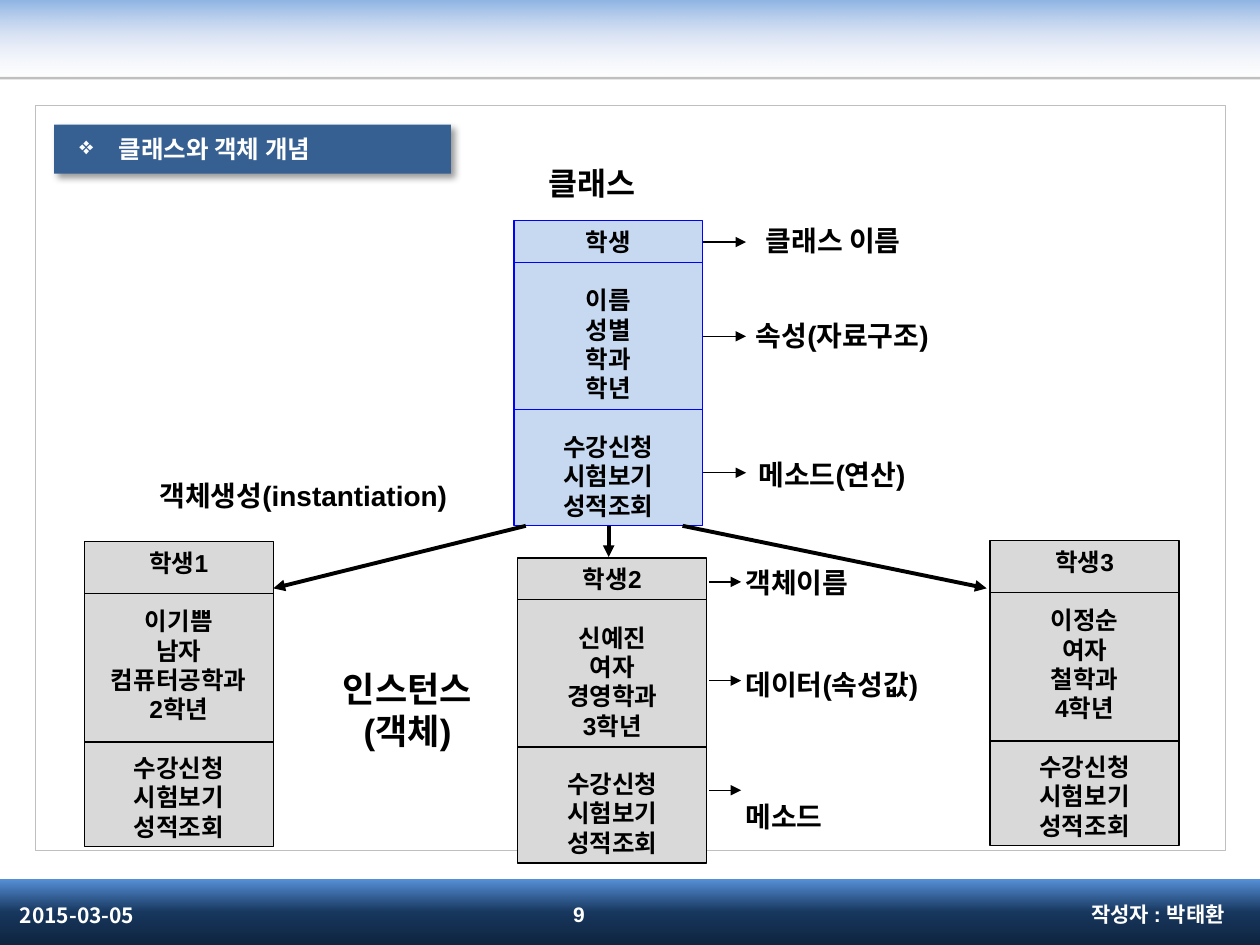
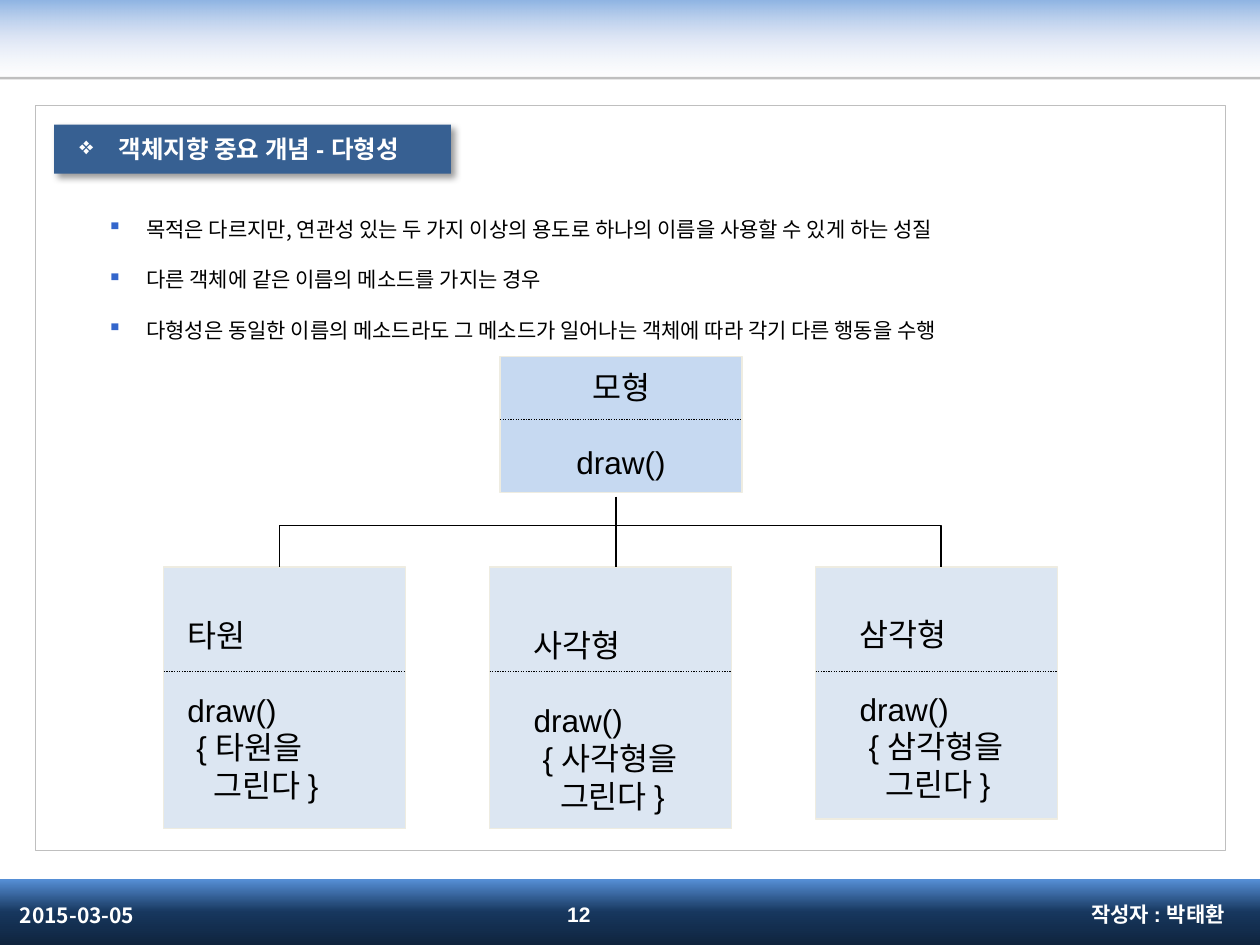
from lxml import etree
from pptx import Presentation
from pptx.dml.color import RGBColor
from pptx.enum.dml import MSO_LINE
from pptx.enum.shapes import MSO_CONNECTOR, MSO_SHAPE
from pptx.enum.text import MSO_ANCHOR, MSO_AUTO_SIZE, PP_ALIGN
from pptx.oxml import parse_xml
from pptx.oxml.ns import nsdecls, qn
from pptx.util import Cm, Pt

RECTANGLE = MSO_SHAPE.RECTANGLE
STRAIGHT = MSO_CONNECTOR.STRAIGHT
DOTTED = MSO_LINE.ROUND_DOT
TOP, MIDDLE = MSO_ANCHOR.TOP, MSO_ANCHOR.MIDDLE
LEFT, CENTER, RIGHT = PP_ALIGN.LEFT, PP_ALIGN.CENTER, PP_ALIGN.RIGHT
NO_AUTOFIT = MSO_AUTO_SIZE.NONE

LATIN_FONT = "Arial"
KOREAN_FONT = "Noto Sans CJK KR"
COLORS = {
    "black": "000000",
    "white": "FFFFFF",
    "rule": "BFBFBF",
    "title": "376092",
    "class": "C6D9F1",
    "class line": "0000FF",
    "object": "D9D9D9",
    "subclass": "DCE6F2",
    "subclass line": "EEECE1",
    "bullet": "3366CC",
}
# Gradient stops: position and opacity in percent
TOP_BAND = [(0, "8EB4E3", 100), (50, "C2D1ED", 50), (100, "E1E8F5", 0)]
BOTTOM_BAND = [(0, "558ED5", 100), (50, "17375E", 100), (100, "0F243E", 100)]
SLIDE_WIDTH, SLIDE_HEIGHT = 25.4, 19.05
CARD_WIDTH, CARD_HEIGHT = 3.81, 6.15
METHODS = ["수강신청", "시험보기", "성적조회"]


def color(name):
    return RGBColor.from_string(COLORS[name])


def lengths(*values):
    return [Cm(value) for value in values]


def write(shape, lines, size, bold=True, ink="black", align=LEFT, anchor=TOP,
          font=LATIN_FONT):
    """Put one paragraph per line into the shape and format its runs."""
    frame = shape.text_frame
    frame.text = "\n".join(lines)
    frame.word_wrap = True
    frame.vertical_anchor = anchor
    for paragraph in frame.paragraphs:
        paragraph.alignment = align
        for run in paragraph.runs:
            run.font.name = font
            run.font.size = Pt(size)
            run.font.bold = bold
            run.font.color.rgb = color(ink)
            east_asian = etree.SubElement(run.font._element, qn("a:ea"))
            east_asian.set("typeface", KOREAN_FONT)
    return frame.paragraphs


def add_text(slide, box, lines, size, **style):
    return write(slide.shapes.add_textbox(*lengths(*box)), lines, size, **style)


def add_box(slide, box, fill=None, line=None, line_width=0.75):
    shape = slide.shapes.add_shape(RECTANGLE, *lengths(*box))
    shape.shadow.inherit = False
    if fill:
        shape.fill.solid()
        shape.fill.fore_color.rgb = color(fill)
    else:
        shape.fill.background()
    if line:
        shape.line.color.rgb = color(line)
        shape.line.width = Pt(line_width)
    else:
        shape.line.fill.background()
    return shape


def add_band(slide, top, height, stops):
    """Draw a full-width band with a vertical gradient."""
    band = add_box(slide, (0, top, SLIDE_WIDTH, height))
    stop_xml = "".join(
        f'<a:gs pos="{position * 1000}"><a:srgbClr val="{value}">'
        f'<a:alpha val="{opacity * 1000}"/></a:srgbClr></a:gs>'
        for position, value, opacity in stops)
    gradient = parse_xml(
        f'<a:gradFill {nsdecls("a")} rotWithShape="1"><a:gsLst>{stop_xml}'
        '</a:gsLst><a:lin ang="5400000" scaled="0"/></a:gradFill>')
    properties = band._element.spPr
    properties.replace(properties.find(qn("a:noFill")), gradient)


def add_line(slide, start, end, ink="black", width=0.75, dash=None, arrow=False):
    line = slide.shapes.add_connector(STRAIGHT, *lengths(*start, *end))
    line.line.color.rgb = color(ink)
    line.line.width = Pt(width)
    if dash:
        line.line.dash_style = dash
    properties = line._element.spPr
    if arrow:
        head = etree.SubElement(properties.find(qn("a:ln")), qn("a:tailEnd"))
        head.set("type", "triangle")
    etree.SubElement(properties, qn("a:effectLst"))


def add_bullet(paragraph, character, ink):
    properties = paragraph._p.get_or_add_pPr()
    properties.set("marL", str(Cm(0.79)))
    properties.set("indent", str(-Cm(0.79)))
    bullet_color = etree.SubElement(properties, qn("a:buClr"))
    etree.SubElement(bullet_color, qn("a:srgbClr")).set("val", COLORS[ink])
    etree.SubElement(properties, qn("a:buChar")).set("char", character)


def format_title(title, text):
    title.left, title.top, title.width, title.height = lengths(1.09, 2.51, 8, 0.99)
    title.fill.solid()
    title.fill.fore_color.rgb = color("title")
    title._element.spPr.append(parse_xml(
        f'<a:effectLst {nsdecls("a")}><a:outerShdw blurRad="50800" dist="38100" '
        'dir="2700000" algn="tl" rotWithShape="0"><a:srgbClr val="000000">'
        '<a:alpha val="40000"/></a:srgbClr></a:outerShdw></a:effectLst>'))
    paragraph = write(title, [text], 14, ink="white", anchor=MIDDLE)[0]
    add_bullet(paragraph, "❖", "white")
    title.text_frame.auto_size = NO_AUTOFIT
    title.text_frame.margin_left = Cm(0.51)


def add_slide(presentation, title, number):
    """Add a slide with the bands, frame, title and footers they all share."""
    slide = presentation.slides.add_slide(presentation.slide_layouts[5])
    add_band(slide, 0, 1.6, TOP_BAND)
    add_band(slide, 17.73, 1.32, BOTTOM_BAND)
    add_box(slide, (0, 1.55, SLIDE_WIDTH, 0.05), fill="rule")
    add_box(slide, (0.71, 2.13, 24, 15.01), line="rule", line_width=0.25)
    format_title(slide.shapes.title, title)
    footer = {"ink": "white", "anchor": MIDDLE}
    add_text(slide, (16.89, 17.91, 8.05, 1.02), ["작성자 : 박태환"], 12,
             align=RIGHT, **footer)
    add_text(slide, (0.15, 17.93, 5.92, 1.02), ["2015-03-05"], 12,
             font=KOREAN_FONT, **footer)
    add_text(slide, (8.71, 17.93, 5.92, 0.99), [number], 12, align=CENTER, **footer)
    return slide


def add_card(slide, left, top, name, attributes, dividers, fill="object", line="black"):
    """Draw a card with name, attributes and methods, split by two dividers."""
    card = add_box(slide, (left, top, CARD_WIDTH, CARD_HEIGHT), fill, line)
    paragraphs = write(card, [name, *attributes, *METHODS], 14, align=CENTER)
    for first_of_section in (1, 1 + len(attributes)):
        paragraphs[first_of_section].space_before = Pt(16.5)
    for offset in dividers:
        add_line(slide, (left, top + offset), (left + CARD_WIDTH, top + offset), line)


def add_subclass(slide, left, height, name, inset_left, inset_top):
    card = add_box(slide, (left, 11.43, 4.88, height), "subclass", "subclass line")
    lines = [name, "draw()", f"{{ {name}을", "그린다 }"]
    paragraphs = write(card, lines, 18, bold=False)
    paragraphs[1].space_before = Pt(21)
    for paragraph, indent in zip(paragraphs[2:], (0.18, 0.53)):
        paragraph._p.get_or_add_pPr().set("marL", str(Cm(indent)))
    card.text_frame.margin_left = Cm(inset_left)
    card.text_frame.margin_top = Cm(inset_top)
    add_line(slide, (left, 13.54), (left + 4.88, 13.54), dash=DOTTED)


def build_class_slide(presentation):
    slide = add_slide(presentation, "클래스와 객체 개념", "9")
    add_card(slide, 10.36, 4.45, "학생", ["이름", "성별", "학과", "학년"],
             (0.84, 3.81), "class", "class line")
    students = [
        (1.7, 10.92, "학생1", ["이기쁨", "남자", "컴퓨터공학과", "2학년"], (1.04, 4.04)),
        (10.44, 11.25, "학생2", ["신예진", "여자", "경영학과", "3학년"], (0.84, 3.81)),
        (19.96, 10.9, "학생3", ["이정순", "여자", "철학과", "4학년"], (1.04, 4.04)),
    ]
    for student in students:
        add_card(slide, *student)

    for start_x, end in [(10.6, (5.51, 11.86)), (12.27, (12.27, 11.23)),
                         (13.76, (19.89, 11.86))]:
        add_line(slide, (start_x, 10.6), end, width=2.25, arrow=True)

    # Arrow start, arrow end, arrow height; label left, top, width and text
    labels = [
        (14.17, 15.04, 4.88, 15.19, 4.39, 3.56, "클래스 이름"),
        (14.17, 15.04, 6.78, 14.99, 6.3, 4.34, "속성(자료구조)"),
        (14.17, 15.04, 9.53, 15.04, 9.09, 3.78, "메소드(연산)"),
        (14.3, 14.94, 11.73, 14.78, 11.28, 4.34, "객체이름"),
        (14.3, 14.94, 13.72, 14.78, 13.34, 4.34, "데이터(속성값)"),
        (14.3, 14.94, 15.93, 14.78, 16, 4.34, "메소드"),
    ]
    for start_x, end_x, y, left, top, width, text in labels:
        add_line(slide, (start_x, y), (end_x, y), arrow=True)
        add_text(slide, (left, top, width, 0.94), [text], 16)

    add_text(slide, (2.97, 9.53, 6.6, 0.94), ["객체생성(instantiation)"], 16)
    add_text(slide, (6.55, 13.34, 3.33, 1.96), ["인스턴스", "(객체)"], 20, align=CENTER)
    add_text(slide, (10.8, 3.18, 3.05, 1.27), ["클래스"], 18, font=KOREAN_FONT)


def build_polymorphism_slide(presentation):
    slide = add_slide(presentation, "객체지향 중요 개념 - 다형성", "12")
    points = [
        "목적은 다르지만, 연관성 있는 두 가지 이상의 용도로 하나의 이름을 사용할 수 있게 하는 성질",
        "다른 객체에 같은 이름의 메소드를 가지는 경우",
        "다형성은 동일한 이름의 메소드라도 그 메소드가 일어나는 객체에 따라 각기 다른 행동을 수행",
    ]
    for paragraph in add_text(slide, (1.91, 3.73, 22.61, 5.13), points, 12,
                              bold=False, font=KOREAN_FONT):
        add_bullet(paragraph, "▪", "bullet")
        paragraph.line_spacing = 2.0

    model = add_box(slide, (10.08, 7.19, 4.88, 2.74), "class", "subclass line")
    paragraphs = write(model, ["모형", "draw()"], 18, bold=False,
                       align=CENTER, anchor=MIDDLE)
    paragraphs[1].space_before = Pt(21)
    add_line(slide, (10.08, 8.46), (14.96, 8.46), dash=DOTTED)

    add_subclass(slide, 3.3, 5.28, "타원", 0.48, 0.99)
    add_subclass(slide, 9.87, 5.28, "사각형", 0.89, 1.2)
    add_subclass(slide, 16.44, 5.08, "삼각형", 0.89, 0.97)

    builder = slide.shapes.build_freeform(*lengths(5.64, 11.43), scale=1.0)
    corners = [(5.64, 10.59), (18.97, 10.59), (18.97, 11.43)]
    builder.add_line_segments([lengths(*corner) for corner in corners], close=False)
    branch = builder.convert_to_shape()
    branch.shadow.inherit = False
    branch.fill.background()
    branch.line.color.rgb = color("black")
    branch.line.width = Pt(0.75)
    add_line(slide, (12.42, 10.01), (12.42, 11.43))


def main():
    presentation = Presentation()
    presentation.slide_width = Cm(SLIDE_WIDTH)
    presentation.slide_height = Cm(SLIDE_HEIGHT)
    build_class_slide(presentation)
    build_polymorphism_slide(presentation)
    presentation.save("out.pptx")


if __name__ == "__main__":
    main()
